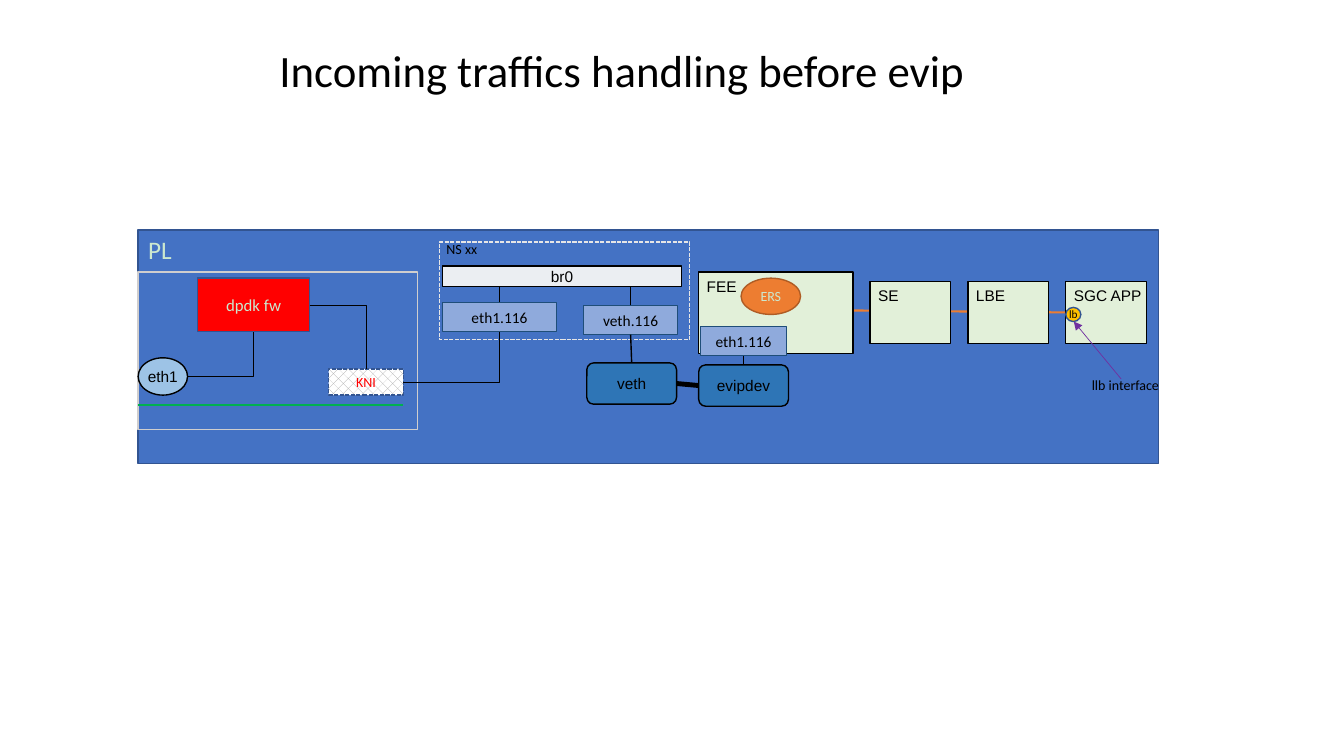
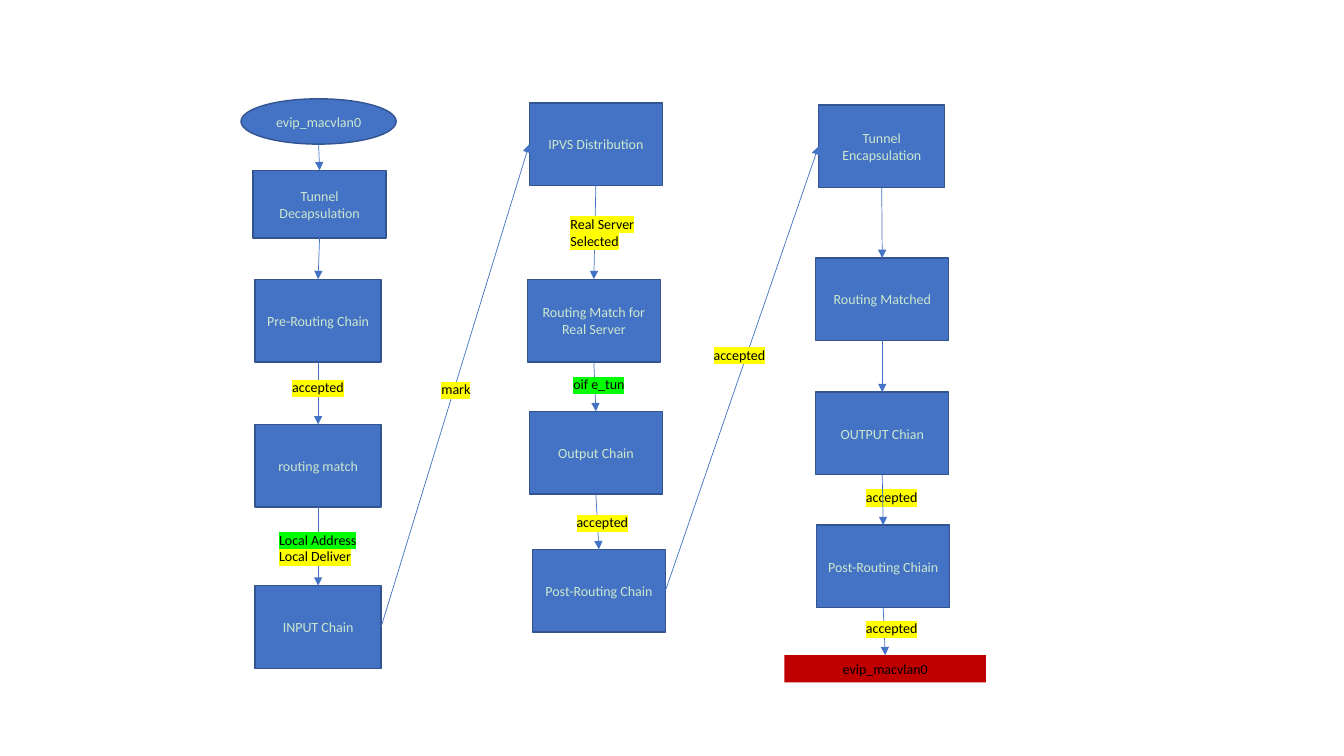
import pptx
import pptx.util
import pptx.oxml
import pptx.oxml.ns
import pptx.dml.color
import pptx.enum.dml
import pptx.enum.shapes
import pptx.enum.text

Inches = pptx.util.Inches
Pt = pptx.util.Pt
RGBColor = pptx.dml.color.RGBColor
MSO_SHAPE = pptx.enum.shapes.MSO_SHAPE
MSO_CONNECTOR = pptx.enum.shapes.MSO_CONNECTOR
MSO_LINE = pptx.enum.dml.MSO_LINE
PP_ALIGN = pptx.enum.text.PP_ALIGN
MSO_ANCHOR = pptx.enum.text.MSO_ANCHOR
qn = pptx.oxml.ns.qn

WHITE = RGBColor(0xFF, 0xFF, 0xFF)
BLACK = RGBColor(0x00, 0x00, 0x00)
MINT = RGBColor(0xCC, 0xE8, 0xCF)
BLUE = RGBColor(0x44, 0x72, 0xC4)
BLUE_EDGE = RGBColor(0x32, 0x54, 0x91)
NAVY = RGBColor(0x1F, 0x4E, 0x79)
STEEL = RGBColor(0x2E, 0x75, 0xB6)
PERIWINKLE = RGBColor(0x8F, 0xAA, 0xDC)
SKY = RGBColor(0x9D, 0xC3, 0xE6)
PALE_GREEN = RGBColor(0xE2, 0xF0, 0xD9)
PALE_GRAY = RGBColor(0xEB, 0xEE, 0xF2)
LIGHT_GRAY = RGBColor(0xE7, 0xE6, 0xE6)
SILVER = RGBColor(0xD0, 0xCE, 0xCE)
GRAY = RGBColor(0xA5, 0xA5, 0xA5)
ORANGE = RGBColor(0xED, 0x7D, 0x31)
ORANGE_EDGE = RGBColor(0xAF, 0x5C, 0x24)
GOLD = RGBColor(0xFF, 0xC0, 0x00)
RED = RGBColor(0xFF, 0x00, 0x00)
DARK_RED = RGBColor(0xC0, 0x00, 0x00)
GREEN = RGBColor(0x00, 0xB0, 0x50)
PURPLE = RGBColor(0x70, 0x30, 0xA0)
YELLOW = RGBColor(0xFF, 0xFF, 0x00)
LIME = RGBColor(0x00, 0xFF, 0x00)

TOP, LEFT, BOTTOM, RIGHT = range(4)
TIGHT = {"margin_left": Inches(0.08), "margin_right": Inches(0.08), "word_wrap": False}
TOP_LEFT = {"anchor": MSO_ANCHOR.TOP, "align": PP_ALIGN.LEFT}

PLAIN = {"kind": MSO_SHAPE.RECTANGLE, "fill": None, "edge": None, "weight": 1, "dash": None,
         "font": "Calibri", "size": 10, "color": BLACK, "align": PP_ALIGN.CENTER,
         "anchor": MSO_ANCHOR.MIDDLE, "frame": {"word_wrap": True}}
STEP = {**PLAIN, "fill": BLUE, "edge": BLUE_EDGE, "color": MINT}
ENTRY = {**STEP, "kind": MSO_SHAPE.OVAL}
EXIT = {**PLAIN, "fill": DARK_RED}
PANEL = {**STEP, **TOP_LEFT, "size": 18}
NODE = {**PLAIN, "edge": BLACK, "font": "Arial", "size": 11, "frame": TIGHT}
BRIDGE = {**NODE, "fill": PALE_GRAY}
PORT = {**NODE, "kind": MSO_SHAPE.OVAL, "fill": SKY}
DEVICE = {**NODE, "kind": MSO_SHAPE.ROUNDED_RECTANGLE, "fill": STEEL}
APP = {**NODE, **TOP_LEFT, "fill": PALE_GREEN}
INTERFACE = {**PLAIN, "fill": PERIWINKLE, "edge": NAVY, "weight": 0.75, "size": 11}
FIREWALL = {**STEP, "fill": RED, "size": 12}
KERNEL = {**STEP, "color": RED, "dash": MSO_LINE.SQUARE_DOT}
ERS = {**ENTRY, "fill": ORANGE, "edge": ORANGE_EDGE}
BALANCER = {**ENTRY, "fill": GOLD, "color": BLACK, "size": 8, "frame": TIGHT}
HOST_FRAME = {**PLAIN, "edge": SILVER}
NAMESPACE_FRAME = {**PLAIN, "edge": LIGHT_GRAY, "dash": MSO_LINE.SQUARE_DOT}
CAPTION = {**PLAIN, **TOP_LEFT, "kind": None, "frame": {"word_wrap": False}}
LABEL = {**CAPTION, "frame": {"word_wrap": True}}
CENTERED_LABEL = {**LABEL, "align": PP_ALIGN.CENTER}


def apply_format(target, values):
    for name, value in values.items():
        setattr(target, name, value)


def highlight(run, color):
    element = pptx.oxml.parse_xml(
        '<a:highlight xmlns:a="http://schemas.openxmlformats.org/drawingml/2006/main">'
        f'<a:srgbClr val="{color}"/></a:highlight>')
    run.font._element.find(qn("a:solidFill")).addnext(element)


def write_text(shape, lines, style):
    frame = shape.text_frame
    apply_format(frame, {"vertical_anchor": style["anchor"], **style["frame"]})
    for index, (text, marker) in enumerate(lines):
        paragraph = frame.add_paragraph() if index else frame.paragraphs[0]
        paragraph.alignment = style["align"]
        run = paragraph.add_run()
        run.text = text
        apply_format(run.font, {"name": style["font"], "size": Pt(style["size"])})
        run.font.color.rgb = style["color"]
        if marker:
            highlight(run, marker)


def add_box(slide, origin, box, style, text="", lines=None):
    left, top, width, height = box
    area = [Inches(value) for value in (origin[0] + left, origin[1] + top, width, height)]
    if style["kind"] is None:
        shape = slide.shapes.add_textbox(*area)
    else:
        shape = slide.shapes.add_shape(style["kind"], *area)
        shape.shadow.inherit = False
        if style["fill"] is None:
            shape.fill.background()
        else:
            shape.fill.solid()
            shape.fill.fore_color.rgb = style["fill"]
        if style["edge"] is None:
            shape.line.fill.background()
        else:
            shape.line.color.rgb = style["edge"]
            apply_format(shape.line, {"width": Pt(style["weight"]), "dash_style": style["dash"]})
    if text or lines:
        write_text(shape, lines or [(text, None)], style)
    return shape


def add_line(slide, start, end, color=BLACK, weight=1.0, arrow=False, elbow=False):
    kind = MSO_CONNECTOR.ELBOW if elbow else MSO_CONNECTOR.STRAIGHT
    connector = slide.shapes.add_connector(kind, *start, *end)
    connector.line.color.rgb = color
    connector.line.width = Pt(weight)
    properties = connector._element.spPr
    if arrow:
        pptx.oxml.ns.qn("a:tailEnd")
        properties.find(qn("a:ln")).append(properties.makeelement(qn("a:tailEnd"), {"type": "triangle"}))
    if elbow:
        properties.find(qn("a:prstGeom")).set("prst", "bentConnector2")
    properties.append(properties.makeelement(qn("a:effectLst"), {}))
    return connector


def point(origin, x, y):
    return Inches(origin[0] + x), Inches(origin[1] + y)


def side_point(shape, side):
    across = {LEFT: 0, RIGHT: shape.width}.get(side, shape.width // 2)
    down = {TOP: 0, BOTTOM: shape.height}.get(side, shape.height // 2)
    return shape.left + across, shape.top + down


def join(slide, first, first_side, second, second_side, **look):
    connector = add_line(slide, side_point(first, first_side), side_point(second, second_side), **look)
    ends = ((first, first_side, connector.begin_connect), (second, second_side, connector.end_connect))
    for shape, side, connect in ends:
        if shape.auto_shape_type != MSO_SHAPE.OVAL:
            connect(shape, side)
    return connector


def draw_title(slide, text):
    title = slide.shapes.title
    apply_format(title, {"left": Inches(0.42), "top": Inches(0), "width": Inches(11.5), "height": Inches(1.45)})
    write_text(title, [(text, None)], {**PLAIN, "size": 32})
    title.text_frame.paragraphs[0].line_spacing = 0.9


def draw_host(slide, origin):
    add_box(slide, origin, (0, 0, 2.77, 1.56), HOST_FRAME)
    firewall = add_box(slide, origin, (0.59, 0.06, 1.11, 0.53), FIREWALL, "dpdk fw")
    kernel = add_box(slide, origin, (1.89, 0.96, 0.74, 0.26), KERNEL, "KNI")
    kernel.fill.patterned()
    kernel.fill.pattern = pptx.enum.dml.MSO_PATTERN.PERCENT_30
    kernel.fill.fore_color.rgb = GRAY
    kernel.fill.back_color.rgb = WHITE
    port = add_box(slide, origin, (0, 0.85, 0.49, 0.37), PORT, "eth1")
    join(slide, firewall, RIGHT, kernel, TOP, weight=0.5, elbow=True)
    join(slide, port, RIGHT, firewall, BOTTOM, weight=0.5, elbow=True)
    add_line(slide, point(origin, 0, 1.32), point(origin, 2.63, 1.32), GREEN)
    return kernel


def draw_namespace(slide, origin):
    add_box(slide, origin, (0, 0, 2.48, 0.97), NAMESPACE_FRAME)
    add_box(slide, origin, (-0.03, -0.06, 0.51, 0.27), CAPTION, "NS xx")
    bridge = add_box(slide, origin, (0.03, 0.24, 2.37, 0.2), BRIDGE, "br0")
    ethernet = add_box(slide, origin, (0.03, 0.6, 1.13, 0.29), INTERFACE, "eth1.116")
    virtual = add_box(slide, origin, (1.43, 0.63, 0.93, 0.29), INTERFACE, "veth.116")
    for interface in (ethernet, virtual):
        x, y = side_point(interface, TOP)
        stub = add_line(slide, (x, y), (x, bridge.top + bridge.height))
        stub.begin_connect(interface, TOP)
    return ethernet, virtual


def draw_applications(slide, origin):
    chain = add_line(slide, point(origin, 1.53, 0.38), point(origin, 3.64, 0.4), ORANGE, 1.5)
    add_box(slide, origin, (0, 0, 1.53, 0.81), APP, "FEE")
    for index, name in enumerate(("SE", "LBE", "SGC APP")):
        application = add_box(slide, origin, (1.7 + 0.97 * index, 0.09, 0.8, 0.62), APP, name)
    chain.end_connect(application, LEFT)
    add_box(slide, origin, (0.42, 0.06, 0.59, 0.36), ERS, "ERS")
    interface = add_box(slide, origin, (0.02, 0.54, 0.85, 0.29), INTERFACE, "eth1.116")
    virtual = add_box(slide, origin, (-1.11, 0.9, 0.89, 0.41), DEVICE, "veth")
    device = add_box(slide, origin, (0, 0.92, 0.89, 0.41), DEVICE, "evipdev")
    join(slide, interface, BOTTOM, device, TOP)
    join(slide, virtual, RIGHT, device, LEFT, weight=3.5)
    add_box(slide, origin, (3.64, 0.35, 0.15, 0.14), BALANCER, "lb")
    add_box(slide, origin, (3.8, 0.99, 0.88, 0.27), CAPTION, "llb interface")
    add_line(slide, point(origin, 4.19, 1.06), point(origin, 3.72, 0.49), PURPLE, 0.5, arrow=True)
    return virtual


def draw_traffic_slide(presentation):
    slide = presentation.slides.add_slide(presentation.slide_layouts[5])
    draw_title(slide, "Incoming traffics handling before evip")
    left, top = 1.37, 2.28
    add_box(slide, (left, top), (0, 0, 10.12, 2.32), PANEL, "PL")
    kernel = draw_host(slide, (left, top + 0.42))
    ethernet, virtual = draw_namespace(slide, (left + 2.99, top + 0.12))
    device = draw_applications(slide, (left + 5.56, top + 0.42))
    join(slide, kernel, RIGHT, ethernet, BOTTOM, weight=0.5, elbow=True)
    join(slide, virtual, BOTTOM, device, TOP)


def draw_flow(slide, origin, steps, labels, labels_below=()):
    shapes = [add_box(slide, origin, box, style, text) for text, box, style in steps]
    for box, style, lines in labels_below:
        add_box(slide, origin, box, style, lines=lines)
    for upper, lower in zip(shapes, shapes[1:]):
        join(slide, upper, BOTTOM, lower, TOP, color=BLUE, weight=0.5, arrow=True)
    for box, style, lines in labels:
        add_box(slide, origin, box, style, lines=lines)
    return shapes


def short_label(left, top, text="accepted"):
    return (left, top, 0.88, 0.27), LABEL, [(text, YELLOW)]


def draw_chain_slide(presentation):
    slide = presentation.slides.add_slide(presentation.slide_layouts[6])
    receive = draw_flow(slide, (2.39, 0.98), [
        ("evip_macvlan0", (0, 0, 1.54, 0.45), ENTRY),
        ("Tunnel Decapsulation", (0.12, 0.71, 1.32, 0.67), STEP),
        ("Pre-Routing Chain", (0.14, 1.79, 1.25, 0.82), STEP),
        ("routing match", (0.14, 3.23, 1.25, 0.82), STEP),
        ("INPUT Chain", (0.14, 4.83, 1.25, 0.82), STEP),
    ], [
        short_label(0.41, 2.73),
        ((0.28, 4.24, 1.16, 0.44), LABEL, [("Local Address", LIME), ("Local Deliver", YELLOW)]),
    ])
    distribute = draw_flow(slide, (5.23, 1.02), [
        ("IPVS Distribution", (0.02, 0, 1.32, 0.82), STEP),
        ("Routing Match for Real Server", (0, 1.75, 1.32, 0.82), STEP),
        ("Output Chain", (0.02, 3.06, 1.32, 0.82), STEP),
        ("Post-Routing Chain", (0.05, 4.43, 1.32, 0.82), STEP),
    ], [
        ((0.33, 1.07, 0.88, 0.44), LABEL, [("Real Server Selected", YELLOW)]),
        ((-0.06, 2.66, 1.54, 0.27), CENTERED_LABEL, [("oif e_tun", LIME)]),
        short_label(0.39, 4.03),
    ])
    send = draw_flow(slide, (7.78, 1.04), [
        ("Tunnel Encapsulation", (0.34, 0, 1.25, 0.82), STEP),
        ("Routing Matched", (0.31, 1.52, 1.32, 0.82), STEP),
        ("OUTPUT Chian", (0.31, 2.85, 1.32, 0.82), STEP),
        ("Post-Routing Chiain", (0.32, 4.17, 1.32, 0.82), STEP),
        ("evip_macvlan0", (0, 5.46, 2, 0.27), EXIT),
    ], [short_label(0.71, 5.06)], [short_label(0.71, 3.76)])
    crossings = ((receive, distribute, short_label(4.28, 3.73, "mark")),
                 (distribute, send, short_label(6.98, 3.39)))
    for source, target, (box, style, lines) in crossings:
        join(slide, source[-1], RIGHT, target[0], LEFT, color=BLUE, weight=0.5, arrow=True)
        add_box(slide, (0, 0), box, style, lines=lines)


def main():
    presentation = pptx.Presentation()
    apply_format(presentation, {"slide_width": Inches(13.33), "slide_height": Inches(7.5)})
    draw_traffic_slide(presentation)
    draw_chain_slide(presentation)
    presentation.save("out.pptx")


if __name__ == "__main__":
    main()
